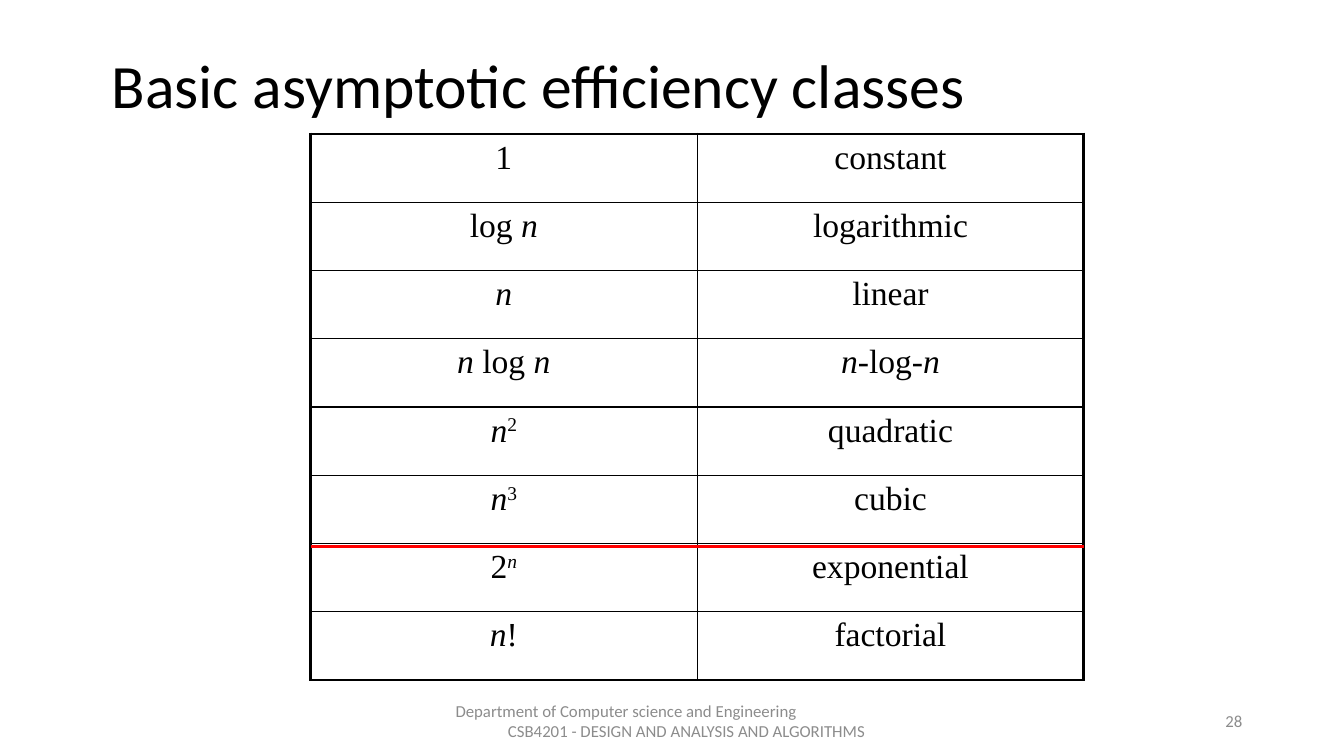
from dataclasses import dataclass

import pptx
import pptx.dml.color
import pptx.enum.shapes
import pptx.enum.text
import pptx.oxml.ns
import pptx.util
from lxml import etree

Inches = pptx.util.Inches
Pt = pptx.util.Pt
Align = pptx.enum.text.PP_ALIGN
Anchor = pptx.enum.text.MSO_ANCHOR
qn = pptx.oxml.ns.qn


@dataclass(frozen=True)
class Theme:
    ink: str = "000000"
    muted: str = "8C8C8C"
    divider: str = "FF0000"
    sans: str = "Calibri"
    serif: str = "Times New Roman"
    title_size: int = 44
    cell_size: int = 24
    footer_size: int = 12
    thin: float = 1
    thick: float = 2.25


theme = Theme()


def add_run(paragraph, text, font_name, size, color):
    run = paragraph.add_run()
    run.text = text
    run.font.name = font_name
    run.font.size = Pt(size)
    run.font.color.rgb = pptx.dml.color.RGBColor.from_string(color)
    return run


def add_text_frame(left, top, width, height):
    box = slide.shapes.add_textbox(Inches(left), Inches(top), Inches(width), Inches(height))
    box.text_frame.word_wrap = True
    box.text_frame.vertical_anchor = Anchor.MIDDLE
    return box.text_frame


deck = pptx.Presentation()
deck.slide_width = Inches(13.33)
deck.slide_height = Inches(7.5)
slide = deck.slides.add_slide(deck.slide_layouts[6])

# Title
title = add_text_frame(1.01, 0.15, 11.5, 1.45).paragraphs[0]
title.line_spacing = 0.9
add_run(title, "Basic asymptotic efficiency classes", theme.sans, theme.title_size, theme.ink)

# Efficiency classes: each cell is a list of (text, style), i = italic, ^ = superscript
classes = [
    ([("1", "")], [("constant", "")]),
    ([("log ", ""), ("n", "i")], [("logarithmic", "")]),
    ([("n", "i")], [("linear", "")]),
    ([("n ", "i"), ("log ", ""), ("n", "i")], [("n-", "i"), ("log", ""), ("-n", "i")]),
    ([("n", "i"), ("2", "^")], [("quadratic", "")]),
    ([("n", "i"), ("3", "^")], [("cubic", "")]),
    ([("2", ""), ("n", "i^")], [("exponential", "")]),
    ([("n", "i"), ("!", "")], [("factorial", "")]),
]
table_left, table_top, table_width, table_height = 3.08, 1.33, 7.67, 5.42
efficiency = slide.shapes.add_table(
    len(classes), 2, Inches(table_left), Inches(table_top),
    Inches(table_width), Inches(table_height)).table
efficiency.first_row = False
efficiency.horz_banding = False

for row, pair in enumerate(classes):
    for column, parts in enumerate(pair):
        cell = efficiency.cell(row, column)
        entry = cell.text_frame.paragraphs[0]
        entry.alignment = Align.CENTER
        for text, style in parts:
            run = add_run(entry, text, theme.serif, theme.cell_size, theme.ink)
            run.font.italic = "i" in style
            if "^" in style:
                run.font._element.set("baseline", "30000")

        # Thick lines around the table, thin lines inside
        outer_edges = {
            "lnL": column == 0,
            "lnR": column == 1,
            "lnT": row == 0,
            "lnB": row == len(classes) - 1,
        }
        properties = cell._tc.get_or_add_tcPr()
        for edge, is_outer in outer_edges.items():
            border = etree.SubElement(properties, qn("a:" + edge))
            border.set("w", str(Pt(theme.thick if is_outer else theme.thin)))
            fill = etree.SubElement(border, qn("a:solidFill"))
            etree.SubElement(fill, qn("a:srgbClr")).set("val", theme.ink)
        cell.fill.background()

# Divider between polynomial and exponential classes
divider_y = Inches(5.42)
divider = slide.shapes.add_connector(
    pptx.enum.shapes.MSO_CONNECTOR.STRAIGHT, Inches(table_left), divider_y,
    Inches(table_left + table_width), divider_y)
divider.line.color.rgb = pptx.dml.color.RGBColor.from_string(theme.divider)
divider.line.width = Pt(theme.thick)
etree.SubElement(divider._element.spPr, qn("a:effectLst"))

# Footer: the second line is indented
footer = add_text_frame(4.42, 6.95, 4.5, 0.4)
department = footer.paragraphs[0]
course = footer.add_paragraph()
course._p.get_or_add_pPr().set("marL", str(Inches(0.52)))
for line, text in (
    (department, "Department of Computer science and Engineering"),
    (course, "CSB4201 - DESIGN AND ANALYSIS AND ALGORITHMS"),
):
    line.alignment = Align.LEFT
    add_run(line, text, theme.sans, theme.footer_size, theme.muted)

# Slide number
number = add_text_frame(9.42, 6.95, 3, 0.4).paragraphs[0]
number.alignment = Align.RIGHT
add_run(number, "28", theme.sans, theme.footer_size, theme.muted)

deck.save("out.pptx")
